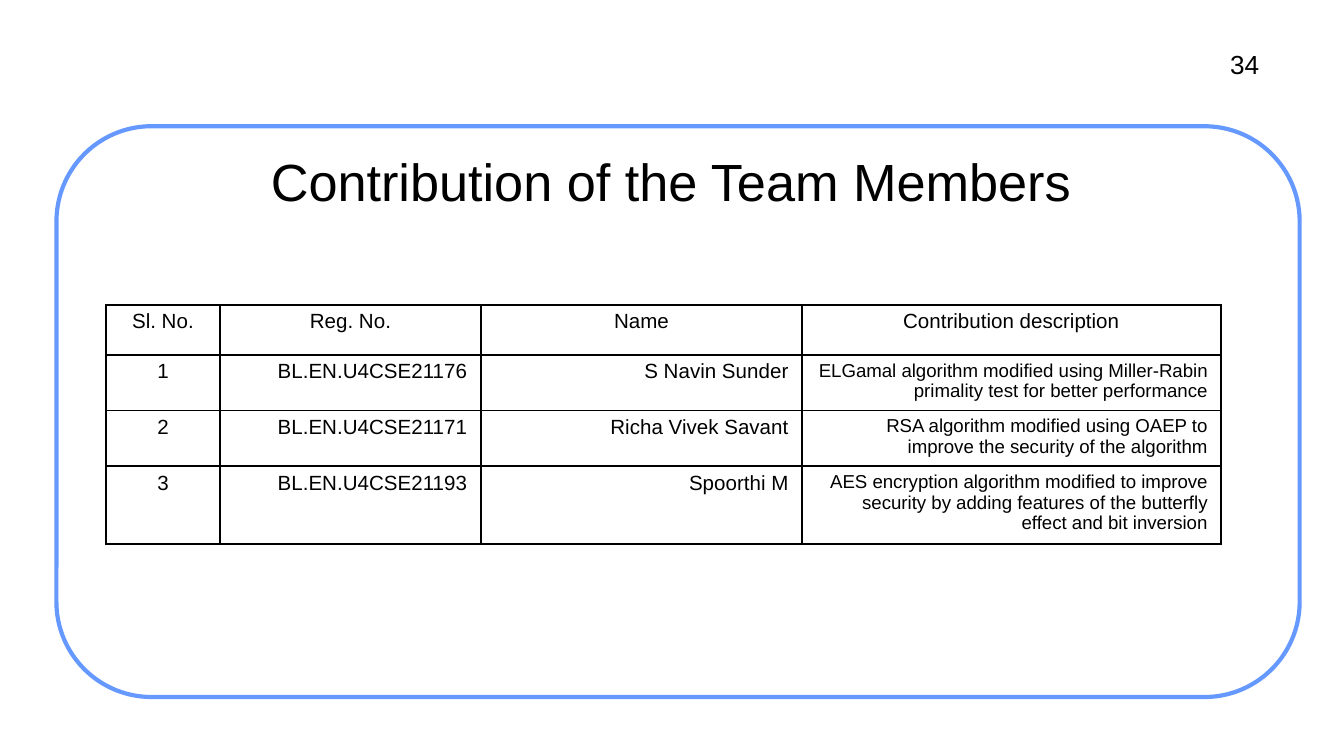
import lxml.etree
import pptx
import pptx.dml.color
import pptx.enum.shapes
import pptx.enum.text
import pptx.oxml.ns
import pptx.util

SLIDE_WIDTH = pptx.util.Inches(10)
SLIDE_HEIGHT = SLIDE_WIDTH * 9 // 16
COLORS = {"text": "000000", "panel": "FFFFFF", "outline": "6699FF", "grid": "000000"}
ALIGN = pptx.enum.text.PP_ALIGN
ANCHOR = pptx.enum.text.MSO_ANCHOR

HEADINGS = ["Sl. No.", "Reg. No.", "Name", "Contribution description"]
MEMBERS = [
    ["1", "BL.EN.U4CSE21176", "S Navin Sunder",
     "ELGamal algorithm modified using Miller-Rabin primality test for better performance"],
    ["2", "BL.EN.U4CSE21171", "Richa Vivek Savant",
     "RSA algorithm modified using OAEP to improve the security of the algorithm"],
    ["3", "BL.EN.U4CSE21193", "Spoorthi M",
     "AES encryption algorithm modified to improve security by adding features of the "
     "butterfly effect and bit inversion"],
]
COLUMN_SHARES = [8.5, 19.4, 23.9, 31.15]
ROW_SHARE = 6.6


def across(percent):
    return round(SLIDE_WIDTH * percent / 100)


def down(percent):
    return round(SLIDE_HEIGHT * percent / 100)


def area(left, top, width, height):
    """Turn percentages of the slide into a position and size."""
    return across(left), down(top), across(width), down(height)


def color(name):
    return pptx.dml.color.RGBColor.from_string(COLORS[name])


def apply_format(target, values):
    for name, value in values.items():
        setattr(target, name, value)


def write(frame, words, size, alignment):
    paragraph = frame.paragraphs[0]
    paragraph.alignment = alignment
    run = paragraph.add_run()
    run.text = words
    apply_format(run.font, {"name": "Arial", "size": pptx.util.Pt(size)})
    run.font.color.rgb = color("text")


def add_panel(slide):
    panel = slide.shapes.add_shape(
        pptx.enum.shapes.MSO_SHAPE.ROUNDED_RECTANGLE, *area(4.2, 16.7, 92.5, 75.5))
    panel.shadow.inherit = False
    panel.fill.solid()
    panel.fill.fore_color.rgb = color("panel")
    panel.line.color.rgb = color("outline")
    panel.line.width = pptx.util.Pt(2.25)


def add_label(slide, place, words, size, alignment, anchor):
    frame = slide.shapes.add_textbox(*area(*place)).text_frame
    inset = pptx.util.Inches(0.05)
    apply_format(frame, {
        "word_wrap": True, "vertical_anchor": anchor,
        "margin_left": inset, "margin_right": inset,
        "margin_top": inset, "margin_bottom": inset,
    })
    write(frame, words, size, alignment)


def add_borders(cell):
    properties = cell._tc.get_or_add_tcPr()
    qn = pptx.oxml.ns.qn
    for side in ("a:lnL", "a:lnR", "a:lnT", "a:lnB"):
        border = lxml.etree.SubElement(properties, qn(side), w=str(pptx.util.Pt(1)))
        fill = lxml.etree.SubElement(border, qn("a:solidFill"))
        lxml.etree.SubElement(fill, qn("a:srgbClr"), val=COLORS["grid"])


def add_contributions(slide):
    rows = [HEADINGS] + MEMBERS
    left, top, width, height = area(7.88, 40.35, 32.8, 58.3)
    holder = slide.shapes.add_table(len(rows), len(HEADINGS), left, top, width, height)
    table = holder.table
    apply_format(table, {"first_row": False, "horz_banding": False})
    for column, share in zip(table.columns, COLUMN_SHARES):
        column.width = across(share)
    for row in table.rows:
        row.height = down(ROW_SHARE)
    apply_format(holder, {"width": width, "height": height})

    margins = {
        "margin_left": pptx.util.Inches(0.1), "margin_right": pptx.util.Inches(0.1),
        "margin_top": pptx.util.Inches(0.04), "margin_bottom": pptx.util.Inches(0.04),
    }
    description_column = len(HEADINGS) - 1
    for r, entries in enumerate(rows):
        for c, words in enumerate(entries):
            cell = table.cell(r, c)
            apply_format(cell, margins)
            add_borders(cell)
            cell.fill.background()
            size = 10 if r > 0 and c == description_column else 11
            alignment = ALIGN.CENTER if r == 0 or c == 0 else ALIGN.RIGHT
            write(cell.text_frame, words, size, alignment)


def main():
    deck = pptx.Presentation()
    apply_format(deck, {"slide_width": SLIDE_WIDTH, "slide_height": SLIDE_HEIGHT})
    slide = deck.slides.add_slide(deck.slide_layouts[6])
    add_panel(slide)
    add_label(slide, (90.9, 5.5, 3.3, 4.3), "34", 14, ALIGN.RIGHT, ANCHOR.TOP)
    add_label(slide, (4.9, 16.6, 90, 14.6), "Contribution of the Team Members", 28,
              ALIGN.CENTER, ANCHOR.MIDDLE)
    add_contributions(slide)
    deck.save("out.pptx")


if __name__ == "__main__":
    main()
